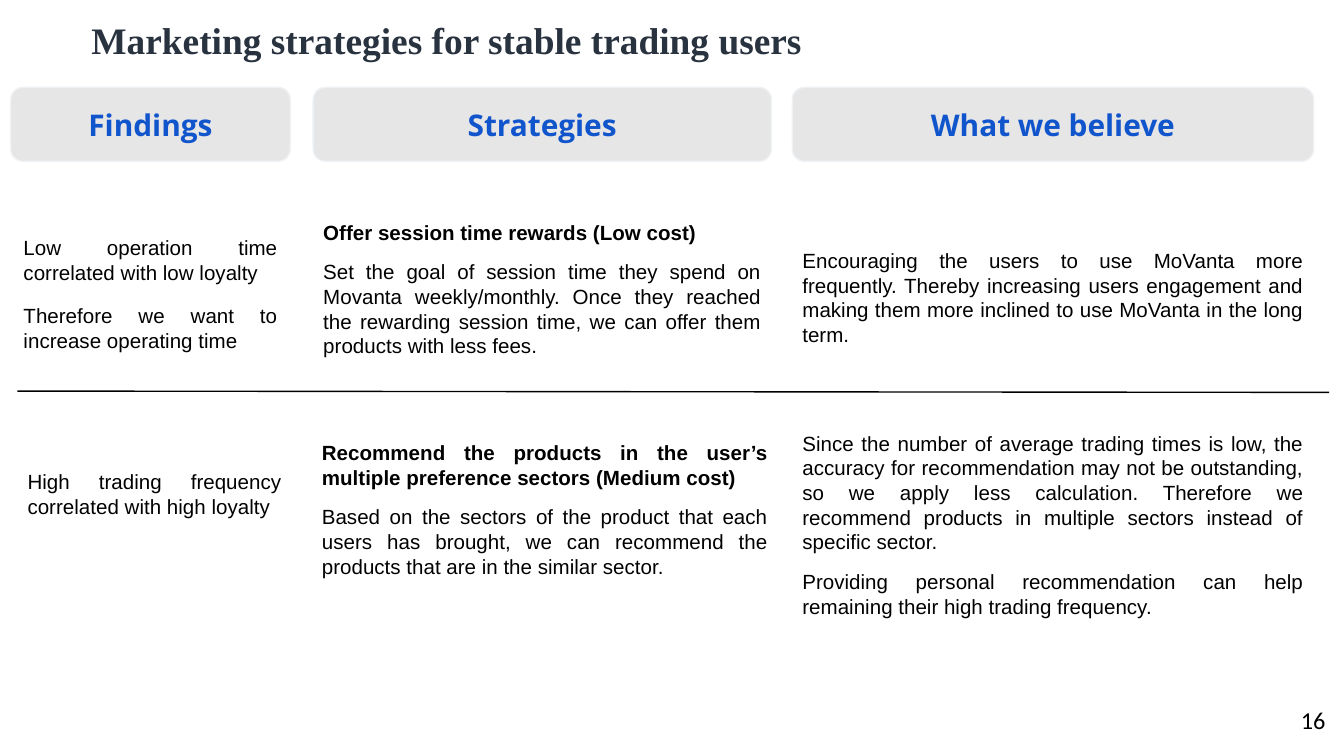
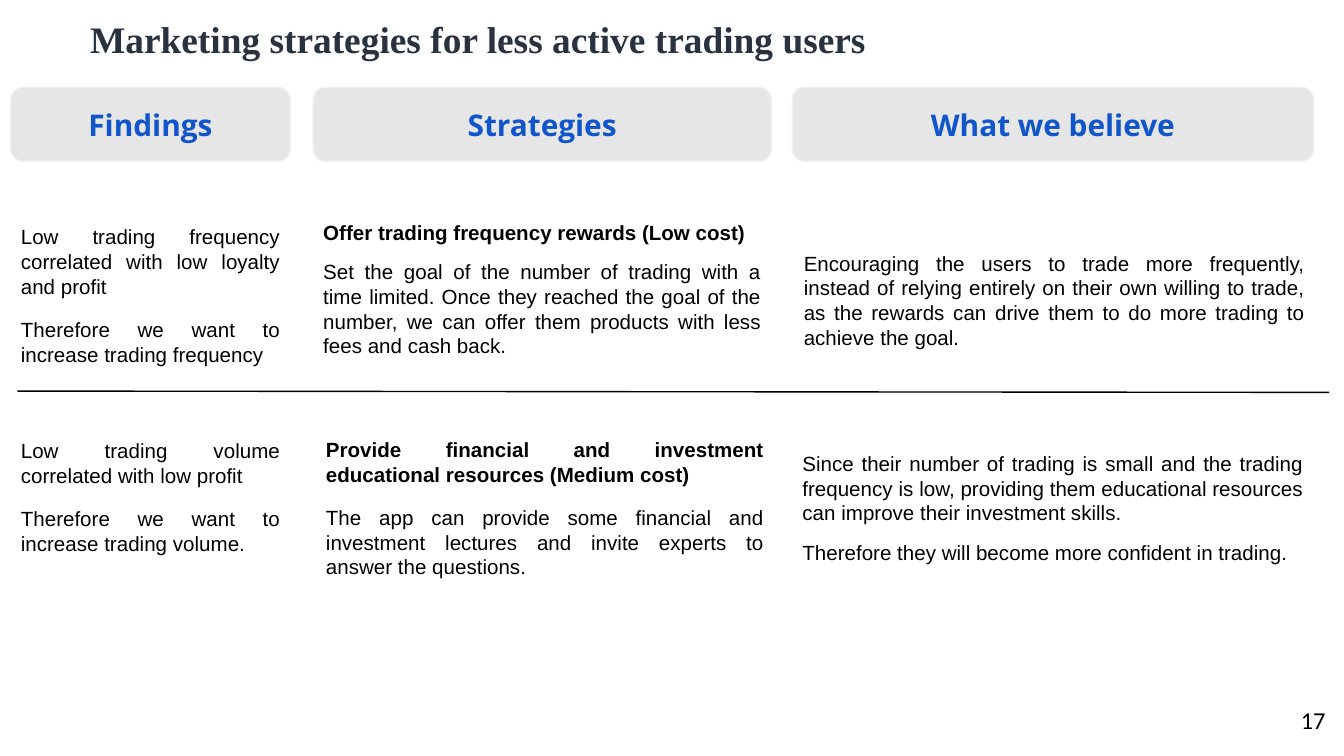
from dataclasses import dataclass

from lxml import etree
from pptx import Presentation
from pptx import util as u
from pptx.dml.color import RGBColor
from pptx.enum import shapes, text
from pptx.oxml import ns

PX = u.Inches(1) // 200
TITLE_ONLY = 5


@dataclass(frozen=True)
class Style:
    font: str
    size: int
    color: str
    bold: bool = False


@dataclass(frozen=True)
class Theme:
    title: Style = Style("Times New Roman", 20, "29323F", True)
    header: Style = Style("Open Sans", 16, "1155CC", True)
    body: Style = Style("Arial", 11, "000000")
    strong: Style = Style("Arial", 11, "000000", True)
    number: Style = Style("Calibri", 13, "000000")
    header_fill: str = "E7E6E6"
    header_line: str = "EEF2F5"
    rule: str = "000000"
    line_width: float = 0.75


@dataclass(frozen=True)
class Cell:
    area: tuple
    lines: tuple
    heading: str = ""
    gap: int = 8
    inset: int = 15


@dataclass(frozen=True)
class Finding(Cell):
    gap: int = 10
    inset: int = 8


THEME = Theme()
ALIGN = text.PP_ALIGN
HEADERS = (("Findings", 16, 416), ("Strategies", 466, 682), ("What we believe", 1179, 776))

PAGES = (
    (16, "Marketing strategies for stable trading users", (116, 16), (
        Finding((20, 342, 408, 192), (
            "Low operation time correlated with low loyalty",
            "Therefore we want to increase operating time")),
        Cell((466, 312, 682, 238), (
            "Set the goal of session time they spend on Movanta weekly/monthly. Once they reached "
            "the rewarding session time, we can offer them products with less fees.",),
            "Offer session time rewards (Low cost)"),
        Cell((1179, 354, 776, 178), (
            "Encouraging the users to use MoVanta more frequently. Thereby increasing users "
            "engagement and making them more inclined to use MoVanta in the long term.",)),
        Finding((26, 690, 408, 90), ("High trading frequency correlated with high loyalty",)),
        Cell((464, 640, 694, 238), (
            "Based on the sectors of the product that each users has brought, we can recommend "
            "the products that are in the similar sector.",),
            "Recommend the products in the user’s multiple preference sectors (Medium cost)"),
        Cell((1179, 626, 776, 274), (
            "Since the number of average trading times is low, the accuracy for recommendation "
            "may not be outstanding, so we apply less calculation. Therefore we recommend "
            "products in multiple sectors instead of specific sector.",
            "Providing personal recommendation can help remaining their high trading frequency.")),
    )),
    (17, "Marketing strategies for less active trading users", (114, 14), (
        Finding((16, 326, 416, 228), (
            "Low trading frequency correlated with low loyalty and profit",
            "Therefore we want to increase trading frequency")),
        Cell((466, 312, 682, 238), (
            "Set the goal of the number of trading with a time limited. Once they reached the goal "
            "of the number, we can offer them products with less fees and cash back.",),
            "Offer trading frequency rewards (Low cost)"),
        Cell((1181, 358, 776, 178), (
            "Encouraging the users to trade more frequently, instead of relying entirely on their "
            "own willing to trade, as the rewards can drive them to do more trading to achieve "
            "the goal.",)),
        Finding((16, 644, 416, 192), (
            "Low trading volume correlated with low profit",
            "Therefore we want to increase trading volume.")),
        Cell((470, 635, 682, 244), (
            "The app can provide some financial and investment lectures and invite experts to "
            "answer the questions.",),
            "Provide financial and investment educational resources (Medium cost)", gap=10),
        Cell((1179, 656, 776, 200), (
            "Since their number of trading is small and the trading frequency is low, providing "
            "them educational resources can improve their investment skills.",
            "Therefore they will become more confident in trading.")),
    )),
)


def px(*lengths):
    return [u.Emu(length * PX) for length in lengths]


def color(value):
    return RGBColor.from_string(value)


def write(para, words, style, align):
    para.text = words
    para.alignment = align
    font = para.font
    font.name, font.size, font.bold = style.font, u.Pt(style.size), style.bold
    font.color.rgb = color(style.color)


def set_frame(frame, side, end, anchor=text.MSO_ANCHOR.TOP):
    frame.word_wrap = True
    frame.auto_size = text.MSO_AUTO_SIZE.NONE
    frame.vertical_anchor = anchor
    frame.margin_left = frame.margin_right = u.Emu(side * PX)
    frame.margin_top = frame.margin_bottom = u.Emu(end * PX)


def add_title(page, words, corner):
    title = page.shapes.title
    title.left, title.top, title.width, title.height = px(*corner, 1864, 110)
    set_frame(title.text_frame, 20, 10)
    write(title.text_frame.paragraphs[0], words, THEME.title, ALIGN.JUSTIFY)


def add_header(page, words, left, width):
    box = page.shapes.add_shape(shapes.MSO_SHAPE.ROUNDED_RECTANGLE, *px(left, 130, width, 110))
    box.shadow.inherit = False
    box.fill.solid()
    box.fill.fore_color.rgb = color(THEME.header_fill)
    box.line.color.rgb = color(THEME.header_line)
    box.line.width = u.Pt(THEME.line_width)
    set_frame(box.text_frame, 15, 15, text.MSO_ANCHOR.MIDDLE)
    write(box.text_frame.paragraphs[0], words, THEME.header, ALIGN.CENTER)


def add_cell(page, cell):
    frame = page.shapes.add_textbox(*px(*cell.area)).text_frame
    set_frame(frame, 15, cell.inset)
    entries = [(line, THEME.body) for line in cell.lines]
    if cell.heading:
        entries.insert(0, (cell.heading, THEME.strong))
    for index, (words, style) in enumerate(entries):
        para = frame.add_paragraph() if index else frame.paragraphs[0]
        write(para, words, style, ALIGN.JUSTIFY)
        if index:
            para.space_before = u.Pt(cell.gap)


def add_rule(page):
    rule = page.shapes.add_connector(shapes.MSO_CONNECTOR.STRAIGHT, *px(26, 582, 1978, 584))
    rule.line.color.rgb = color(THEME.rule)
    rule.line.width = u.Pt(THEME.line_width)
    etree.SubElement(rule._element.spPr, ns.qn("a:effectLst"))


def add_number(page, number):
    frame = page.shapes.add_textbox(*px(1872, 1039, 120, 86)).text_frame
    set_frame(frame, 20, 10)
    write(frame.paragraphs[0], str(number), THEME.number, ALIGN.RIGHT)


def main():
    deck = Presentation()
    deck.slide_width, deck.slide_height = px(2000, 1125)
    for number, title, corner, cells in PAGES:
        page = deck.slides.add_slide(deck.slide_layouts[TITLE_ONLY])
        add_title(page, title, corner)
        for header in HEADERS:
            add_header(page, *header)
        for cell in cells:
            add_cell(page, cell)
        add_rule(page)
        add_number(page, number)
    deck.save("out.pptx")


if __name__ == "__main__":
    main()
